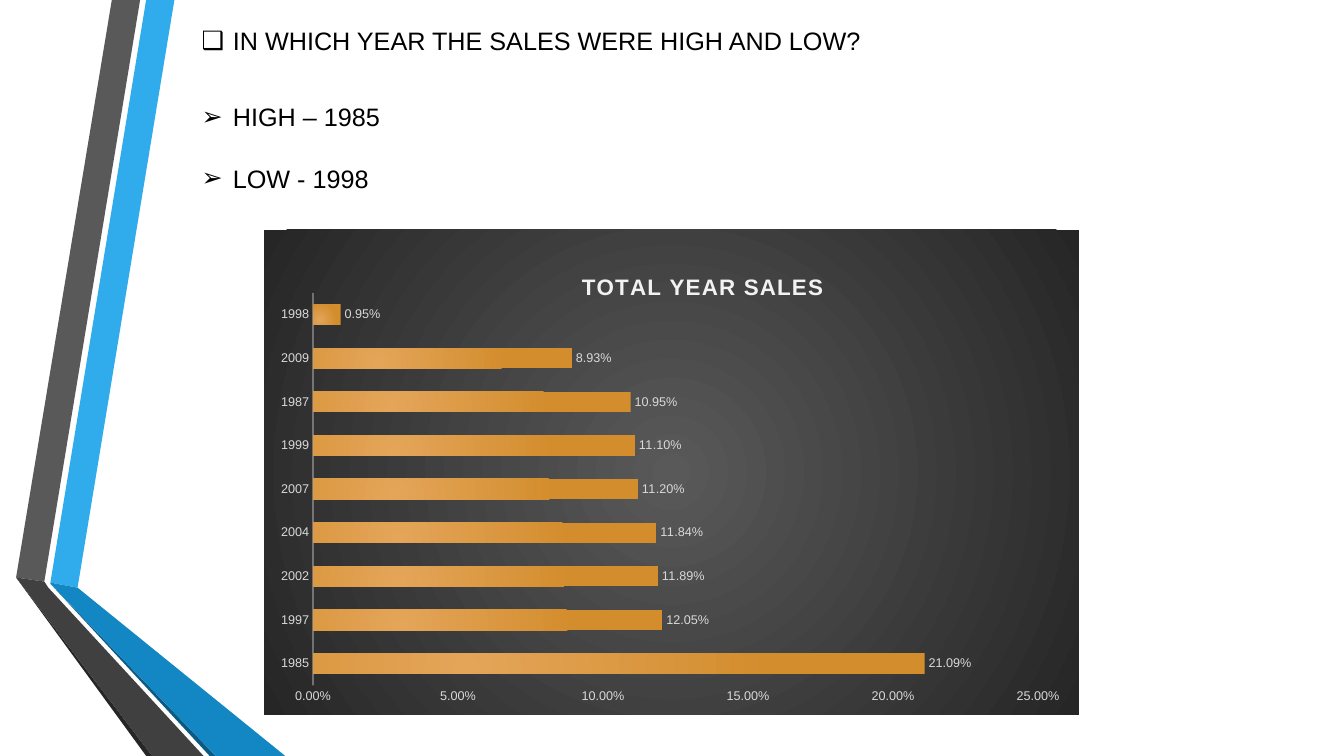
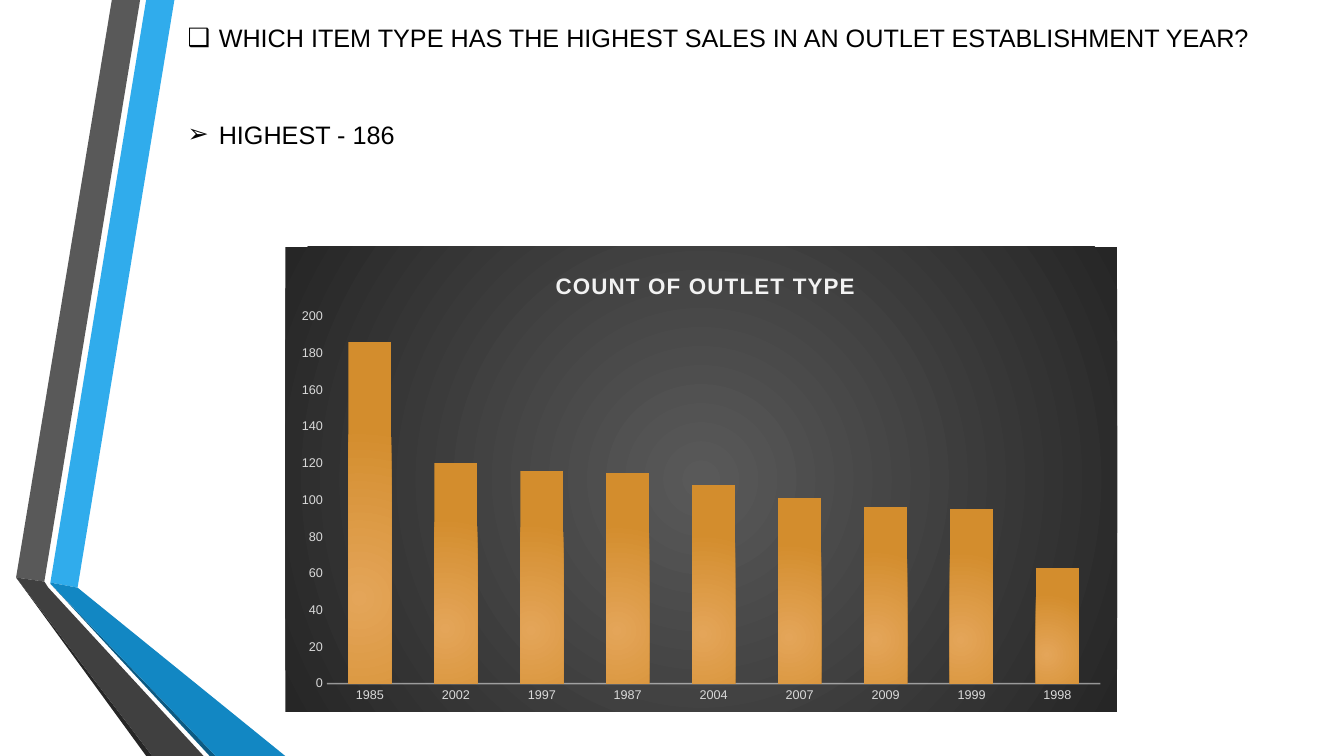
from dataclasses import dataclass

from lxml import etree
from pptx import Presentation
from pptx.chart import data as chart_data
from pptx.dml import color
from pptx.enum import chart as chart_types, text
from pptx.oxml import ns, parse_xml
from pptx.util import Inches, Pt


# Theme: colours and type sizes
@dataclass(frozen=True)
class Theme:
    font: str = "Arial"
    ink: str = "000000"
    chart_title: str = "F2F2F2"
    chart_label: str = "D9D9D9"
    panel: tuple = ("595959", "262626")
    bar: tuple = ("E4A559", "D38D2D")
    text_size: float = 18
    title_size: float = 16
    label_size: float = 9
    bullet_indent: float = 0.31


THEME = Theme()
QUESTION_BULLET, ANSWER_BULLET = "\u2751", "\u27a2"


@dataclass(frozen=True)
class Box:
    left: float
    top: float
    width: float
    height: float

    def lengths(self) -> list:
        return [Inches(value) for value in (self.left, self.top, self.width, self.height)]


@dataclass(frozen=True)
class Band:
    fill: str
    points: tuple


@dataclass(frozen=True)
class SalesChart:
    kind: int
    title: str
    box: Box
    title_at: tuple
    plot_area: tuple
    values: dict
    number_format: str
    axis_top: float
    axis_step: float
    gap: int
    overlap: int
    labelled: bool = False


@dataclass(frozen=True)
class QuestionSlide:
    question: str
    question_box: Box
    answers: tuple
    answers_box: Box
    chart: SalesChart


# Folded ribbons shared by all slides
BANDS = [
    Band("30ACEC", ((0.5, 5.78), (0.77, 5.83), (1.73, 0), (1.45, 0))),
    Band("595959", ((1.39, 0), (1.11, 0), (0.16, 5.73), (0.44, 5.77))),
    Band("262626", ((0.16, 5.73), (1.45, 7.5), (1.51, 7.5))),
    Band("0C5A82", ((0.5, 5.79), (2.08, 7.5), (2.14, 7.5))),
    Band("1287C3", ((0.5, 5.79), (2.14, 7.5), (2.83, 7.5), (0.77, 5.83), (0.5, 5.78))),
    Band("404040", ((2.02, 7.5), (0.48, 5.83), (0.44, 5.77), (0.16, 5.73), (1.51, 7.5))),
]

# Slide content
SLIDES = [
    QuestionSlide(
        "IN WHICH YEAR THE SALES WERE HIGH AND LOW?", Box(1.9, 0.2, 7.96, 0.71),
        ("HIGH \u2013 1985", "LOW - 1998"), Box(1.9, 0.96, 4.76, 1.31),
        SalesChart(
            chart_types.XL_CHART_TYPE.BAR_CLUSTERED, "TOTAL YEAR SALES",
            Box(2.62, 2.28, 8.08, 4.81), (0.385, 0.08), (0.06, 0.13, 0.89, 0.81),
            {"1985": 0.2109, "1997": 0.1205, "2002": 0.1189, "2004": 0.1184, "2007": 0.112,
             "1999": 0.111, "1987": 0.1095, "2009": 0.0893, "1998": 0.0095},
            "0.00%", 0.25, 0.05, 115, -20, labelled=True)),
    QuestionSlide(
        "WHICH ITEM TYPE HAS THE HIGHEST SALES IN AN OUTLET ESTABLISHMENT YEAR?",
        Box(1.76, 0.17, 11.07, 0.71),
        ("HIGHEST - 186",), Box(1.76, 1.13, 4.24, 0.4),
        SalesChart(
            chart_types.XL_CHART_TYPE.COLUMN_CLUSTERED, "COUNT OF OUTLET TYPE",
            Box(2.83, 2.45, 8.25, 4.61), (0.32, 0.045), (0.05, 0.15, 0.93, 0.79),
            {"1985": 186, "2002": 120, "1997": 116, "1987": 115, "2004": 108,
             "2007": 101, "2009": 96, "1999": 95, "1998": 63},
            "General", 200, 20, 100, -24)),
]


# Text
def style_font(font, *, size: float, fill: str, bold: bool = False) -> None:
    font.name, font.size, font.bold = THEME.font, Pt(size), bold
    font.color.rgb = color.RGBColor.from_string(fill)


def write(paragraph, words: str, *, size: float, fill: str, bold: bool = False,
          bullet: str = "", space_before: float = 0) -> None:
    run = paragraph.add_run()
    run.text = words
    style_font(run.font, size=size, fill=fill, bold=bold)
    paragraph.space_before = Pt(space_before)
    if bullet:
        paragraph.alignment = text.PP_ALIGN.LEFT
        properties = paragraph._p.get_or_add_pPr()
        properties.set("marL", str(Inches(THEME.bullet_indent)))
        properties.set("indent", str(-Inches(THEME.bullet_indent)))
        etree.SubElement(properties, ns.qn("a:buFont")).set("typeface", THEME.font)
        etree.SubElement(properties, ns.qn("a:buChar")).set("char", bullet)


def fill_placeholder(shape, box: Box, lines: tuple, bullet: str) -> None:
    shape.left, shape.top, shape.width, shape.height = box.lengths()
    frame = shape.text_frame
    frame.word_wrap = True
    frame.auto_size = text.MSO_AUTO_SIZE.NONE
    frame.vertical_anchor = text.MSO_ANCHOR.TOP
    for index, line in enumerate(lines):
        paragraph = frame.add_paragraph() if index else frame.paragraphs[0]
        write(paragraph, line, size=THEME.text_size, fill=THEME.ink, bullet=bullet,
              space_before=22 if index else 0)


# Ribbons go on the layout, behind its placeholders
def move_bands_to_layout(slide) -> None:
    for index, band in enumerate(BANDS):
        points = [(Inches(x), Inches(y)) for x, y in band.points]
        builder = slide.shapes.build_freeform(*points[0])
        builder.add_line_segments(points[1:], close=True)
        shape = builder.convert_to_shape()
        shape.shadow.inherit = False
        shape.fill.solid()
        shape.fill.fore_color.rgb = color.RGBColor.from_string(band.fill)
        shape.line.fill.background()
        shape.element.nvSpPr.cNvPr.set("id", str(100 + index))
        slide.slide_layout.shapes.element.insert(2 + index, shape.element)


# Chart XML
def radial_fill(colours: tuple, focus: tuple) -> etree._Element:
    stops = "".join(f'<a:gs pos="{position}"><a:srgbClr val="{value}"/></a:gs>'
                    for position, value in zip((0, 100000), colours))
    edges = " ".join(f'{side}="{percent * 1000}"' for side, percent in zip("ltrb", focus))
    return parse_xml(f'<a:gradFill {ns.nsdecls("a")} rotWithShape="1"><a:gsLst>{stops}</a:gsLst>'
                     f'<a:path path="circle"><a:fillToRect {edges}/></a:path></a:gradFill>')


def manual_layout(parent, index: int, place: tuple, inner: bool = False) -> None:
    for present in parent.findall(ns.qn("c:layout")):
        parent.remove(present)
    target = '<c:layoutTarget val="inner"/>' if inner else ""
    modes = '<c:xMode val="edge"/><c:yMode val="edge"/>'
    sizes = "".join(f'<c:{key} val="{value}"/>' for key, value in zip("xywh", place))
    parent.insert(index, parse_xml(
        f'<c:layout {ns.nsdecls("c")}><c:manualLayout>{target}{modes}{sizes}'
        '</c:manualLayout></c:layout>'))


def style_axes(chart, spec: SalesChart) -> None:
    for axis in (chart.category_axis, chart.value_axis):
        axis.has_major_gridlines = False
        axis.major_tick_mark = axis.minor_tick_mark = chart_types.XL_TICK_MARK.NONE
        style_font(axis.tick_labels.font, size=THEME.label_size, fill=THEME.chart_label)
    line = chart.category_axis.format.line
    line.width = Pt(1)
    line.color.rgb = color.RGBColor.from_string(THEME.chart_title)
    tint = chart.element.xpath(".//c:catAx/c:spPr/a:ln//a:srgbClr")[0]
    etree.SubElement(tint, ns.qn("a:alpha")).set("val", "54000")
    values = chart.value_axis
    values.format.line.fill.background()
    values.minimum_scale, values.maximum_scale = 0, spec.axis_top
    values.major_unit = spec.axis_step
    values.tick_labels.number_format = spec.number_format
    values.tick_labels.number_format_is_linked = False


def add_sales_chart(slide, spec: SalesChart) -> None:
    data = chart_data.CategoryChartData(number_format=spec.number_format)
    data.categories = list(spec.values)
    data.add_series("Series 1", list(spec.values.values()))
    chart = slide.shapes.add_chart(spec.kind, *spec.box.lengths(), data).chart
    style_font(chart.font, size=10, fill=THEME.ink)
    chart.has_legend = False

    # Title
    write(chart.chart_title.text_frame.paragraphs[0], spec.title, size=THEME.title_size,
          fill=THEME.chart_title, bold=True)
    title = chart.element.xpath("c:chart/c:title")[0]
    title.xpath(".//a:r/a:rPr")[0].set("spc", "100")
    manual_layout(title, 1, spec.title_at)
    manual_layout(chart.element.xpath("c:chart/c:plotArea")[0], 0, spec.plot_area, inner=True)

    # Bars and panel
    style_axes(chart, spec)
    plot = chart.plots[0]
    plot.gap_width, plot.overlap, plot.vary_by_categories = spec.gap, spec.overlap, False
    series = chart.element.xpath(".//c:ser")[0]
    series.get_or_add_spPr().insert(0, radial_fill(THEME.bar, (50, 100, 100, 50)))
    panel = parse_xml(f'<c:spPr {ns.nsdecls("c", "a")}><a:ln><a:noFill/></a:ln></c:spPr>')
    panel.insert(0, radial_fill(THEME.panel, (50, 50, 50, 50)))
    chart.element.xpath("c:chart")[0].addnext(panel)

    if spec.labelled:
        labels = plot.series[0].data_labels
        labels.show_value = True
        labels.position = chart_types.XL_LABEL_POSITION.OUTSIDE_END
        labels.number_format, labels.number_format_is_linked = spec.number_format, False
        style_font(labels.font, size=THEME.label_size, fill=THEME.chart_label)


# Build the presentation
def main() -> None:
    presentation = Presentation()
    presentation.slide_width, presentation.slide_height = Inches(13.33), Inches(7.5)
    layout = presentation.slide_layouts[1]
    for number, content in enumerate(SLIDES):
        slide = presentation.slides.add_slide(layout)
        if number == 0:
            move_bands_to_layout(slide)
        fill_placeholder(slide.shapes.title, content.question_box, (content.question,),
                         QUESTION_BULLET)
        fill_placeholder(slide.placeholders[1], content.answers_box, content.answers,
                         ANSWER_BULLET)
        add_sales_chart(slide, content.chart)
    presentation.save("out.pptx")


main()
